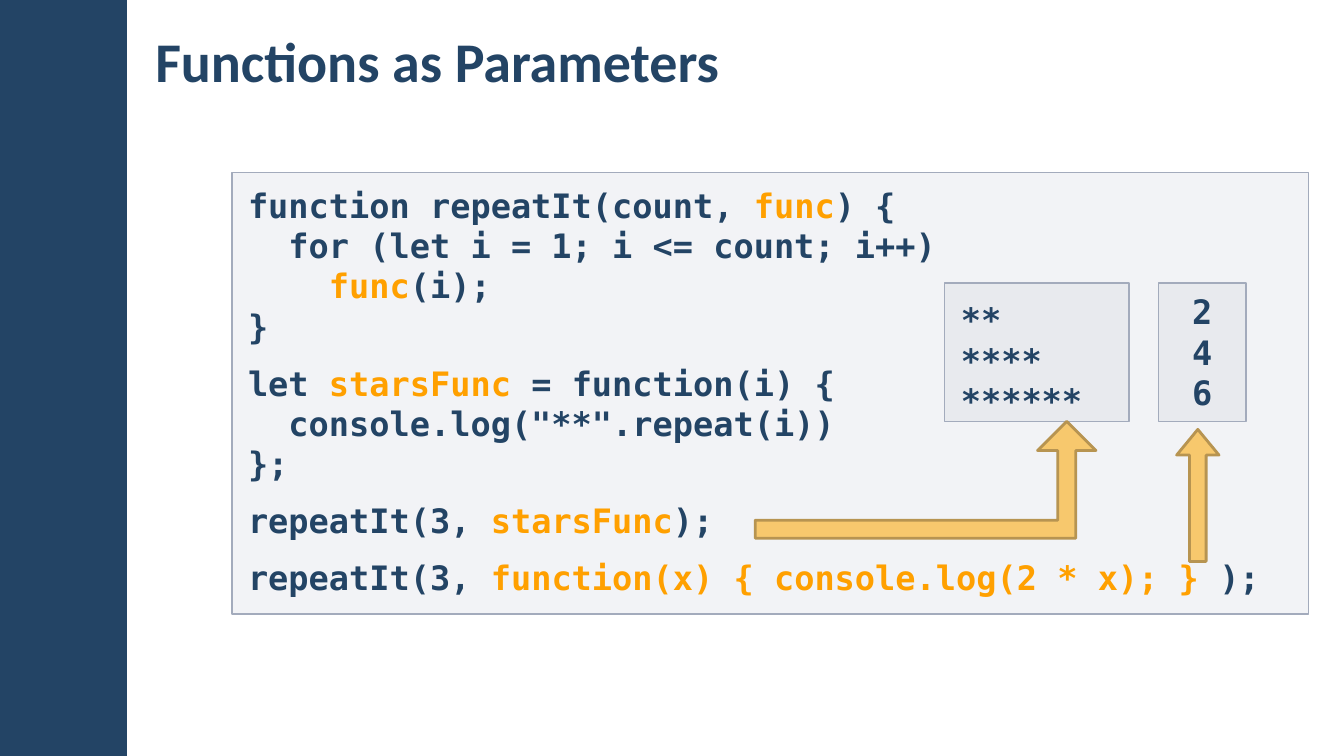
"""Build the slide on passing functions as parameters."""
from dataclasses import dataclass

from lxml import etree
from pptx import Presentation
from pptx import util as u
from pptx.dml.color import RGBColor
from pptx.enum import shapes, text
from pptx.oxml import ns

NAVY = RGBColor(0x23, 0x44, 0x65)
ORANGE = RGBColor(0xFF, 0xA0, 0x00)
PANEL = RGBColor(0xC2, 0xC7, 0xD2)
PANEL_LINE = RGBColor(0xA3, 0xAB, 0xBC)
ARROW = RGBColor(0xF7, 0xC8, 0x6D)
ARROW_LINE = RGBColor(0xB7, 0x94, 0x51)
CODE_FONT = "DejaVu Sans Mono"
MARK = "|"
Box = tuple[float, float, float, float]


@dataclass(frozen=True)
class Panel:
    box: Box
    insets: Box
    lines: tuple[str, ...]
    align: text.PP_ALIGN = text.PP_ALIGN.LEFT
    spaced: tuple[int, ...] = ()


@dataclass(frozen=True)
class Arrow:
    kind: shapes.MSO_SHAPE
    box: Box
    adjustments: tuple[float, ...]


CODE = (
    "function repeatIt(count, |func|) {",
    "  for (let i = 1; i <= count; i++)",
    "    |func|(i);",
    "}",
    "let |starsFunc| = function(i) {",
    '  console.log("**".repeat(i))',
    "};",
    "repeatIt(3, |starsFunc|);",
    "repeatIt(3, |function(x) { console.log(2 * x); } |);",
)
PANELS = (
    Panel((2.3, 1.71, 10.68, 4.38), (0.16, 0.12, 0.16, 0.12), CODE, spaced=(4, 7, 8)),
    Panel((9.37, 2.81, 1.83, 1.37), (0.16, 0.16, 0.16, 0), ("**", "****", "******")),
    Panel((11.49, 2.81, 0.87, 1.37), (0.16, 0.08, 0.16, 0.08), ("2", "4", "6"),
          align=text.PP_ALIGN.CENTER),
)
ARROWS = (
    Arrow(shapes.MSO_SHAPE.BENT_UP_ARROW, (7.49, 4.18, 3.38, 1.16), (0.154, 0.25, 0.25)),
    Arrow(shapes.MSO_SHAPE.UP_ARROW, (11.67, 4.26, 0.42, 1.31), (0.393, 0.607)),
)


def add_shape(s, kind: shapes.MSO_SHAPE, box: Box, fill: RGBColor,
              line: RGBColor | None = None, width: float = 1):
    sp = s.shapes.add_shape(kind, *map(u.Inches, box))
    sp.shadow.inherit = False
    sp.fill.solid()
    sp.fill.fore_color.rgb = fill
    if line is None:
        sp.line.fill.background()
    else:
        sp.line.color.rgb = line
        sp.line.width = u.Pt(width)
    return sp


def set_frame(tf, insets: Box, anchor: text.MSO_ANCHOR) -> None:
    tf.word_wrap = True
    tf.vertical_anchor = anchor
    tf.margin_left, tf.margin_top, tf.margin_right, tf.margin_bottom = map(u.Inches, insets)


def style_run(r, font: str, size: float, color: RGBColor) -> None:
    r.font.name = font
    r.font.size = u.Pt(size)
    r.font.bold = True
    r.font.color.rgb = color


def add_title(s, title: str) -> None:
    tf = s.shapes.add_textbox(*map(u.Inches, (1.42, 0.11, 9.19, 0.97))).text_frame
    set_frame(tf, (0.12, 0.04, 0.12, 0.04), text.MSO_ANCHOR.MIDDLE)
    tf.text = title
    style_run(tf.paragraphs[0].runs[0], "Calibri", 40, NAVY)


def add_panel(s, panel: Panel) -> None:
    sp = add_shape(s, shapes.MSO_SHAPE.RECTANGLE, panel.box, PANEL, PANEL_LINE)
    color = sp.fill._xPr.find(ns.qn("a:solidFill"))[0]
    etree.SubElement(color, ns.qn("a:alpha"), val="20000")
    tf = sp.text_frame
    set_frame(tf, panel.insets, text.MSO_ANCHOR.TOP)
    tf.auto_size = text.MSO_AUTO_SIZE.SHAPE_TO_FIT_TEXT
    for i, line in enumerate(panel.lines):
        p = tf.paragraphs[0] if i == 0 else tf.add_paragraph()
        p.alignment = panel.align
        if i in panel.spaced:
            p.space_before = u.Pt(12)
        for j, part in enumerate(line.split(MARK)):
            r = p.add_run()
            r.text = part
            style_run(r, CODE_FONT, 24, ORANGE if j % 2 else NAVY)


def add_arrow(s, arrow: Arrow) -> None:
    sp = add_shape(s, arrow.kind, arrow.box, ARROW, ARROW_LINE, 2)
    for i, value in enumerate(arrow.adjustments):
        sp.adjustments[i] = value


def main() -> None:
    prs = Presentation()
    prs.slide_width, prs.slide_height = u.Inches(13.33), u.Inches(7.5)
    s = prs.slides.add_slide(prs.slide_layouts[6])
    add_shape(s, shapes.MSO_SHAPE.RECTANGLE, (0, 0, 1.26, 7.5), NAVY)
    add_title(s, "Functions as Parameters")
    for panel in PANELS:
        add_panel(s, panel)
    for arrow in ARROWS:
        add_arrow(s, arrow)
    prs.save("out.pptx")


if __name__ == "__main__":
    main()
